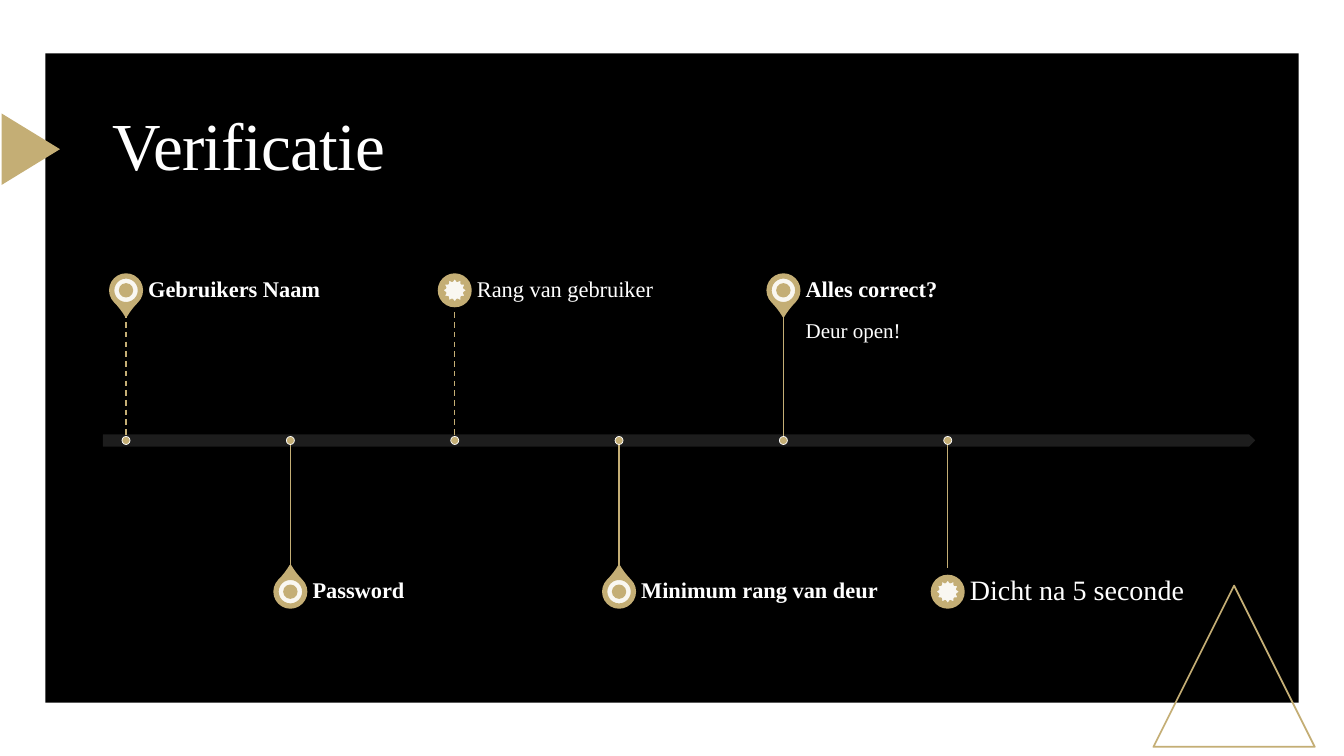
"""Build the Verificatie timeline slide."""
from lxml import etree
from pptx import Presentation
from pptx.dml.color import RGBColor
from pptx.enum.dml import MSO_LINE
from pptx.enum.shapes import MSO_CONNECTOR, MSO_SHAPE as SHAPE
from pptx.enum.text import MSO_ANCHOR as ANCHOR
from pptx.oxml.ns import qn
from pptx.util import Inches, Pt

GOLD = RGBColor(0xC4, 0xAE, 0x75)
BLACK = RGBColor(0x00, 0x00, 0x00)
WHITE = RGBColor(0xFF, 0xFF, 0xFF)
GREY = RGBColor(0x21, 0x21, 0x21)
FONT = "Times New Roman"

TITLE = "Verificatie"
STEPS = [
    {"label": "Gebruikers Naam", "pin": True, "dashed": True},
    {"label": "Password", "pin": True},
    {"label": "Rang van gebruiker", "dashed": True},
    {"label": "Minimum rang van deur", "pin": True},
    {"label": "Alles correct?", "pin": True, "detail": "Deur open!"},
    {"label": "Dicht na 5 seconde", "size": 20},
]

FIRST_X, STEP_X = 1.25, 1.63
AXIS_Y, STEM = 4.37, 1.27
UPPER_Y, LOWER_Y = 2.88, 5.87
MARKER, ICON, DOT = 0.32, 0.25, 0.08
LABEL_GAP, LABEL_W, LABEL_H = 0.22, 2.71, 0.45

prs = Presentation()
prs.slide_width, prs.slide_height = Inches(13.33), Inches(7.5)
slide = prs.slides.add_slide(prs.slide_layouts[6])


def add_shape(kind, x, y, w, h, fill=None, line=None, weight=1.25, alpha=None):
    sp = slide.shapes.add_shape(kind, Inches(x), Inches(y), Inches(w), Inches(h))
    sp.shadow.inherit = False
    if fill is None:
        sp.fill.background()
    else:
        sp.fill.solid()
        sp.fill.fore_color.rgb = fill
    if alpha:
        color = sp.fill._xPr.find(qn("a:solidFill"))[0]
        etree.SubElement(color, qn("a:alpha")).set("val", str(alpha * 1000))
    if line is None:
        sp.line.fill.background()
    else:
        sp.line.color.rgb = line
        sp.line.width = Pt(weight)
    return sp


def add_centered(kind, x, y, size, fill, line, **style):
    return add_shape(kind, x - size / 2, y - size / 2, size, size, fill, line, **style)


def add_text(text, x, y, w, h, size, bold=False, insets=(0, 0, 0.11, 0),
             anchor=ANCHOR.MIDDLE):
    tf = slide.shapes.add_textbox(Inches(x), Inches(y), Inches(w), Inches(h)).text_frame
    tf.word_wrap = True
    tf.vertical_anchor = anchor
    tf.margin_left, tf.margin_top, tf.margin_right, tf.margin_bottom = map(Inches, insets)
    tf.text = text
    p = tf.paragraphs[0]
    p.line_spacing = 0.9
    r = p.runs[0]
    r.font.name, r.font.size, r.font.bold = FONT, Pt(size), bold
    r.font.color.rgb = WHITE
    return r


def add_stem(x, top, dashed):
    stem = slide.shapes.add_connector(
        MSO_CONNECTOR.STRAIGHT, Inches(x), Inches(top), Inches(x), Inches(top + STEM))
    stem.line.color.rgb = GOLD
    stem.line.width = Pt(1)
    if dashed:
        stem.line.dash_style = MSO_LINE.DASH
    etree.SubElement(stem._element.spPr, qn("a:effectLst"))


def add_step(index, label, pin=False, dashed=False, detail=None, size=16):
    x = FIRST_X + index * STEP_X
    upper = index % 2 == 0
    y = UPPER_Y if upper else LOWER_Y
    text_x = x + LABEL_GAP

    marker = add_centered(SHAPE.TEAR if pin else SHAPE.OVAL, x, y, MARKER, GOLD, GOLD)
    marker.rotation = 135 if upper else 315
    if pin:
        marker.adjustments[0] = 1.15
    add_centered(SHAPE.DONUT if pin else SHAPE.STAR_12_POINT, x, y, ICON, WHITE, GOLD,
                 alpha=90)
    if detail:
        add_text(detail, text_x, AXIS_Y - STEM, LABEL_W, STEM, 15,
                 insets=(0, 0.1, 0.1, 0.16), anchor=ANCHOR.TOP)
    add_text(label, text_x, y - LABEL_H / 2, LABEL_W, LABEL_H, size, bold=pin)
    add_stem(x, AXIS_Y - STEM if upper else AXIS_Y, dashed)
    add_centered(SHAPE.OVAL, x, AXIS_Y, DOT, GOLD, WHITE, weight=0.5)


add_shape(SHAPE.RECTANGLE, 0.45, 0.53, 12.43, 6.44, BLACK)
add_shape(SHAPE.ISOSCELES_TRIANGLE, 11.44, 5.81, 1.6, 1.6, line=GOLD)
add_shape(SHAPE.ISOSCELES_TRIANGLE, -0.05, 1.19, 0.71, 0.58, GOLD).rotation = 90
add_shape(SHAPE.PENTAGON, 1.02, AXIS_Y - 0.06, 11.43, 0.12, GREY, alpha=90)

for index, step in enumerate(STEPS):
    add_step(index, **step)

title = add_text(TITLE, 1.02, 0.98, 11.43, 1, 48, insets=(0.1, 0.05, 0.1, 0.05))
title.font._element.set("spc", "-50")

prs.save("out.pptx")
